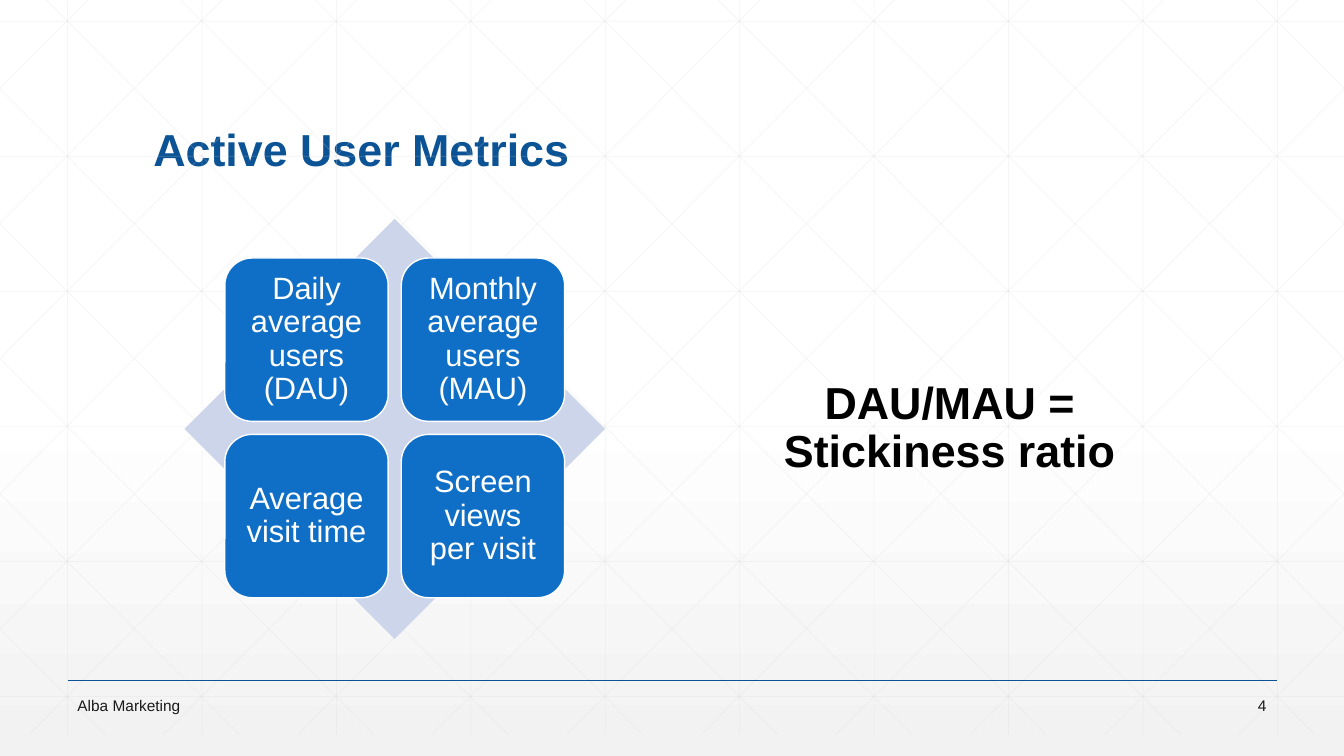
import pptx
import pptx.util
import pptx.dml.color
import pptx.enum.shapes
import pptx.enum.text
import lxml.etree

Inches = pptx.util.Inches
Pt = pptx.util.Pt
RGBColor = pptx.dml.color.RGBColor
SHAPE = pptx.enum.shapes.MSO_SHAPE
ANCHOR = pptx.enum.text.MSO_ANCHOR
ALIGN = pptx.enum.text.PP_ALIGN

NAVY = RGBColor(0x0B, 0x53, 0x94)
BLUE = RGBColor(0x0F, 0x6F, 0xC6)
PALE = RGBColor(0xCC, 0xD5, 0xEA)
MESH = RGBColor(0xD9, 0xD9, 0xD9)
MIST = RGBColor(0xF2, 0xF2, 0xF2)
INK = RGBColor(0x1A, 0x1A, 0x1A)
BLACK = RGBColor(0, 0, 0)
WHITE = RGBColor(0xFF, 0xFF, 0xFF)
NS = "{http://schemas.openxmlformats.org/drawingml/2006/main}"
WIDE = 13.33

deck = pptx.Presentation()
deck.slide_width = Inches(WIDE)
deck.slide_height = Inches(7.5)
slide = deck.slides.add_slide(deck.slide_layouts[5])
shapes = slide.shapes

back = slide.background.fill
back.gradient()
back.gradient_angle = 270
for stop, color, place in zip(back.gradient_stops, (WHITE, MIST), (0.53, 1)):
    stop.color.rgb = color
    stop.position = place


def add_line(x1, y1, x2, y2, color, width, alpha=None):
    line = shapes.add_connector(pptx.enum.shapes.MSO_CONNECTOR.STRAIGHT,
                                Inches(x1), Inches(y1), Inches(x2), Inches(y2))
    line.line.color.rgb = color
    line.line.width = Pt(width)
    props = line._element.spPr
    lxml.etree.SubElement(props, NS + "effectLst")
    if alpha:
        tint = next(props.iter(NS + "srgbClr"))
        lxml.etree.SubElement(tint, NS + "alpha").set("val", str(alpha * 1000))


def write(shape, text, size, color, align, anchor=ANCHOR.MIDDLE, bold=False, space=0.9):
    frame = shape.text_frame
    frame.text = text
    frame.word_wrap = True
    frame.auto_size = pptx.enum.text.MSO_AUTO_SIZE.NONE
    frame.vertical_anchor = anchor
    para = frame.paragraphs[0]
    para.alignment = align
    para.line_spacing = space
    font = para.runs[0].font
    font.name = "Arial"
    font.size = Pt(size)
    font.bold = bold
    font.color.rgb = color


TOP, END, STEP = -0.21, 7.29, 4 / 3
SLOPE = 7.5 / 7.46

for col in range(10):
    x = 0.67 + col * STEP
    add_line(x, TOP, x, END, MESH, 0.5, 25)
for row in range(6):
    y = 0.21 + row * 1.34
    add_line(0, y, WIDE, y, MESH, 0.5, 25)
for step in range(-5, 10):
    start = 0.25 + step * STEP
    x1 = max(start, 0)
    x2 = min(start + 7.46, WIDE)
    y1 = TOP + (x1 - start) * SLOPE
    y2 = TOP + (x2 - start) * SLOPE
    add_line(x1, y1, x2, y2, MESH, 0.5, 25)
    add_line(WIDE - x1, y1, WIDE - x2, y2, MESH, 0.5, 25)
add_line(0.67, 6.75, 12.67, 6.75, NAVY, 1)

title = shapes.title
title.left, title.top = Inches(1.42), Inches(0.55)
title.width, title.height = Inches(10.5), Inches(1.25)
write(title, "Active User Metrics", 32, NAVY, ALIGN.LEFT, ANCHOR.BOTTOM, True)

gem = shapes.add_shape(SHAPE.DIAMOND, Inches(1.83), Inches(2.17), Inches(4.17), Inches(4.17))
gem.shadow.inherit = False
gem.fill.solid()
gem.fill.fore_color.rgb = PALE
gem.line.fill.background()

METRICS = ["Daily average users (DAU)", "Monthly average users (MAU)",
           "Average visit time", "Screen views per visit"]
for index, metric in enumerate(METRICS):
    row, col = divmod(index, 2)
    card = shapes.add_shape(SHAPE.ROUNDED_RECTANGLE, Inches(2.23 + col * 1.75),
                            Inches(2.56 + row * 1.75), Inches(1.62), Inches(1.62))
    card.shadow.inherit = False
    card.fill.solid()
    card.fill.fore_color.rgb = BLUE
    card.line.color.rgb = WHITE
    card.line.width = Pt(1)
    frame = card.text_frame
    frame.margin_left = frame.margin_right = Inches(0.09)
    frame.margin_top = frame.margin_bottom = Inches(0.09)
    write(card, metric, 22, WHITE, ALIGN.CENTER)

ratio = shapes.add_textbox(Inches(6.92), Inches(2.17), Inches(5), Inches(4.17))
write(ratio, "DAU/MAU = Stickiness ratio", 32, BLACK, ALIGN.CENTER, bold=True)

for text, left, width, align in [("Alba Marketing", 0.67, 6.7, ALIGN.LEFT),
                                 ("4", 11.66, 1, ALIGN.RIGHT)]:
    foot = shapes.add_textbox(Inches(left), Inches(6.88), Inches(width), Inches(0.24))
    write(foot, text, 11, INK, align, space=1)

deck.save("out.pptx")
